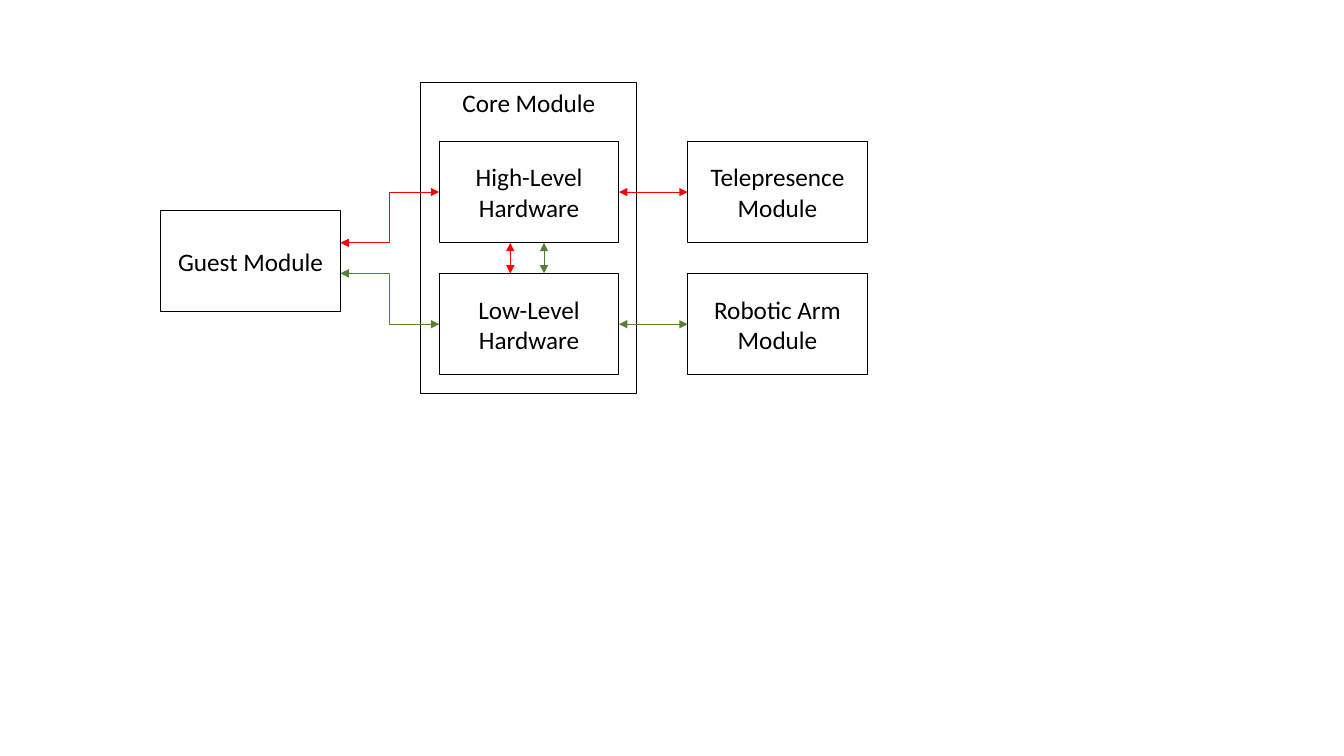
"""Block diagram of a modular robot: modules and the links between them."""
from dataclasses import dataclass

from pptx import Presentation
from pptx.dml.color import RGBColor
from pptx.enum.shapes import MSO_CONNECTOR, MSO_SHAPE
from pptx.enum.text import MSO_ANCHOR, PP_ALIGN
from pptx.oxml.ns import qn
from pptx.slide import Slide
from pptx.util import Cm, Pt
from lxml.etree import SubElement

BLACK, RED, GREEN = "000000", "FF0000", "548235"
WIDTH, HEIGHT = 4.53, 2.56
GUEST_LEFT, GUEST_TOP = 4.05, 5.3
CORE_LEFT, REMOTE_LEFT = 11.07, 17.33
HIGH_TOP, LOW_TOP = 3.56, 6.89
GUEST_RIGHT, CORE_RIGHT = GUEST_LEFT + WIDTH, CORE_LEFT + WIDTH
HIGH_BOTTOM = HIGH_TOP + HEIGHT
HIGH_MIDDLE, LOW_MIDDLE = HIGH_TOP + HEIGHT / 2, LOW_TOP + HEIGHT / 2
RED_X, GREEN_X = 12.86, 13.71

LABEL_FONT = {"name": "Calibri", "size": Pt(18)}


@dataclass(frozen=True)
class Module:
    label: str
    left: float
    top: float
    width: float = WIDTH
    height: float = HEIGHT
    anchor: MSO_ANCHOR = MSO_ANCHOR.MIDDLE


@dataclass(frozen=True)
class Link:
    start: tuple[float, float]
    end: tuple[float, float]
    color: str
    route: MSO_CONNECTOR = MSO_CONNECTOR.STRAIGHT


MODULES = [
    Module("Guest Module", GUEST_LEFT, GUEST_TOP),
    Module("High-Level Hardware", CORE_LEFT, HIGH_TOP),
    Module("Low-Level Hardware", CORE_LEFT, LOW_TOP),
    Module("Core Module", 10.61, 2.08, 5.44, 7.83, MSO_ANCHOR.TOP),
    Module("Robotic Arm Module", REMOTE_LEFT, LOW_TOP),
    Module("Telepresence Module", REMOTE_LEFT, HIGH_TOP),
]

LINKS = [
    Link((REMOTE_LEFT, HIGH_MIDDLE), (CORE_RIGHT, HIGH_MIDDLE), RED),
    Link((REMOTE_LEFT, LOW_MIDDLE), (CORE_RIGHT, LOW_MIDDLE), GREEN),
    Link((GREEN_X, HIGH_BOTTOM), (GREEN_X, LOW_TOP), GREEN),
    Link((GUEST_RIGHT, HIGH_BOTTOM), (CORE_LEFT, HIGH_MIDDLE), RED, MSO_CONNECTOR.ELBOW),
    Link((GUEST_RIGHT, LOW_TOP), (CORE_LEFT, LOW_MIDDLE), GREEN, MSO_CONNECTOR.ELBOW),
    Link((RED_X, HIGH_BOTTOM), (RED_X, LOW_TOP), RED),
]


def paint(color_format, color: str) -> None:
    """Apply a hex colour to a font or line colour."""
    color_format.rgb = RGBColor.from_string(color)


def apply_format(target, values: dict) -> None:
    """Set every attribute named in a dict of format values."""
    for attribute, value in values.items():
        setattr(target, attribute, value)


def draw_module(slide: Slide, module: Module) -> None:
    """Draw an unfilled, outlined module with its label."""
    box = slide.shapes.add_shape(
        MSO_SHAPE.RECTANGLE,
        Cm(module.left), Cm(module.top), Cm(module.width), Cm(module.height),
    )
    box.shadow.inherit = False
    box.fill.background()
    box.line.width = Pt(0.75)
    paint(box.line.color, BLACK)
    apply_format(box.text_frame, {"word_wrap": True, "vertical_anchor": module.anchor})
    label = box.text_frame.paragraphs[0]
    label.text = module.label
    label.alignment = PP_ALIGN.CENTER
    font = label.runs[0].font
    apply_format(font, LABEL_FONT)
    paint(font.color, BLACK)


def draw_link(slide: Slide, link: Link) -> None:
    """Draw a connector with a triangle arrowhead at both ends."""
    arrow = slide.shapes.add_connector(
        link.route, *(Cm(length) for length in link.start + link.end)
    )
    arrow.line.width = Pt(0.5)
    paint(arrow.line.color, link.color)
    properties = arrow.element.spPr
    outline = properties.find(qn("a:ln"))
    for arrowhead in ("a:headEnd", "a:tailEnd"):
        SubElement(outline, qn(arrowhead), type="triangle")
    SubElement(properties, qn("a:effectLst"))


def main() -> None:
    """Build the slide and save it."""
    deck = Presentation()
    apply_format(deck, {"slide_width": Cm(33.87), "slide_height": Cm(19.05)})
    slide = deck.slides.add_slide(deck.slide_layouts.get_by_name("Blank"))
    for module in MODULES:
        draw_module(slide, module)
    for link in LINKS:
        draw_link(slide, link)
    deck.save("out.pptx")


if __name__ == "__main__":
    main()
